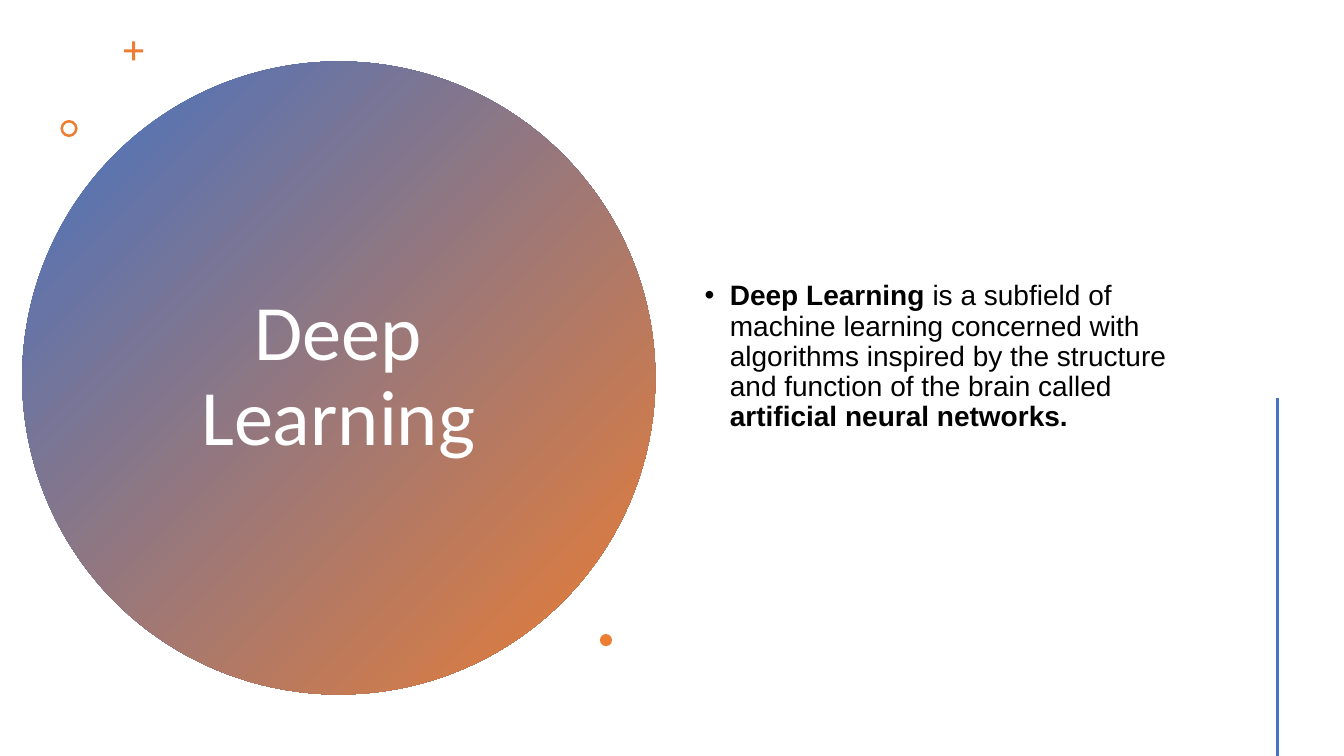
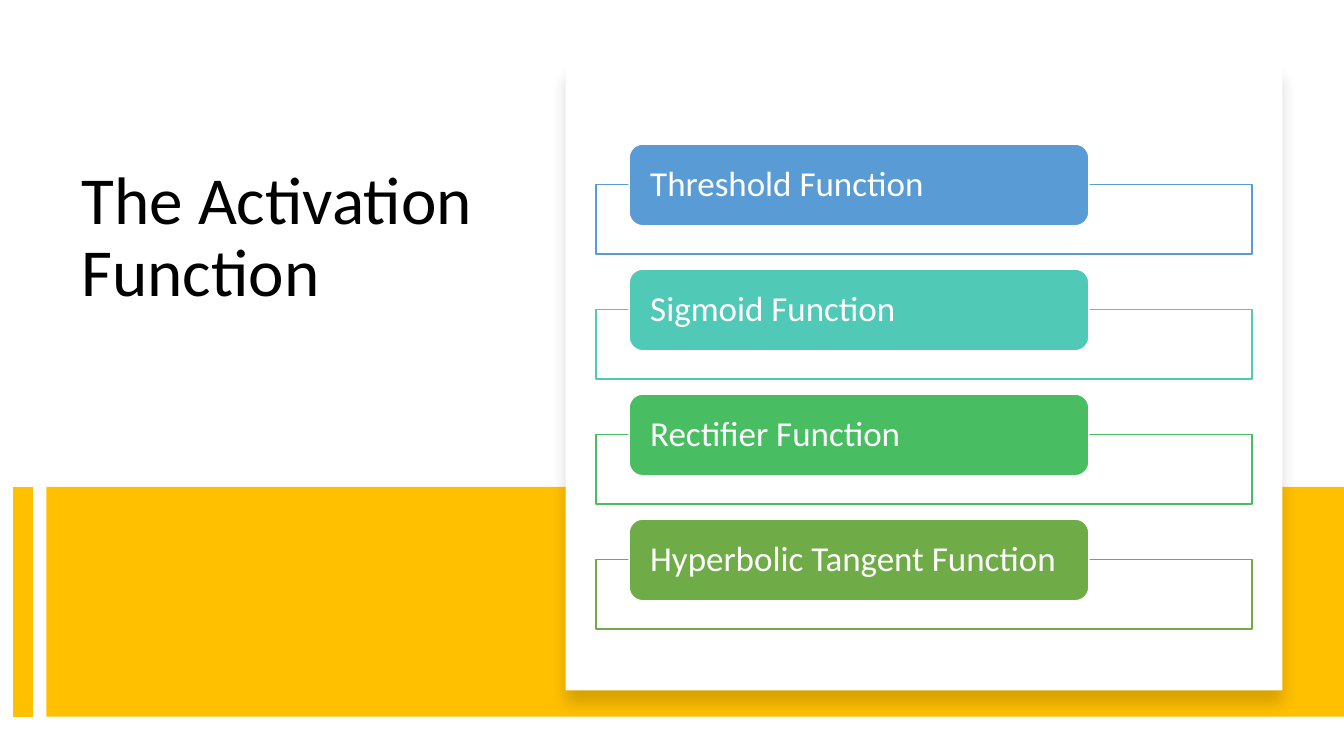
from dataclasses import dataclass

from lxml import etree
from pptx import Presentation
from pptx.dml.color import RGBColor
from pptx.enum.shapes import MSO_CONNECTOR, MSO_SHAPE
from pptx.enum.text import MSO_ANCHOR, PP_ALIGN
from pptx.oxml.ns import qn
from pptx.util import Inches, Pt

OVAL = MSO_SHAPE.OVAL
RECTANGLE = MSO_SHAPE.RECTANGLE
ROUNDED = MSO_SHAPE.ROUNDED_RECTANGLE
CROSS = MSO_SHAPE.CROSS
DONUT = MSO_SHAPE.DONUT
STRAIGHT = MSO_CONNECTOR.STRAIGHT
LEFT, CENTER = PP_ALIGN.LEFT, PP_ALIGN.CENTER
TOP, MIDDLE = MSO_ANCHOR.TOP, MSO_ANCHOR.MIDDLE


@dataclass(frozen=True)
class Theme:
    """Colours, fonts, type sizes and line spacing of the deck."""

    white: str = "FFFFFF"
    black: str = "000000"
    blue: str = "4472C4"
    orange: str = "ED7D31"
    gold: str = "FFC000"
    rows: tuple = ("599BD5", "50C9B6", "48BD62", "6FAB46")
    heading_font: str = "Calibri"
    body_font: str = "Arial"
    circle_title: int = 56
    title: int = 48
    label: int = 25
    body: int = 20
    spacing: float = 0.9


THEME = Theme()


def rgb(colour):
    """Turn a hex string into a colour."""
    return RGBColor.from_string(colour)


def add_shape(slide, preset, box, fill=None, line=None, adjust=None):
    """Add a preset shape without shadow, with optional fill, outline and adjustment."""
    shape = slide.shapes.add_shape(preset, *map(Inches, box))
    shape.shadow.inherit = False
    if fill:
        shape.fill.solid()
        shape.fill.fore_color.rgb = rgb(fill)
    if line:
        shape.line.color.rgb = rgb(line)
        shape.line.width = Pt(1)
    else:
        shape.line.fill.background()
    if adjust is not None:
        shape.adjustments[0] = adjust
    return shape


def add_line(slide, start, end, colour, width):
    """Add a straight line between two points."""
    line = slide.shapes.add_connector(STRAIGHT, *map(Inches, (*start, *end)))
    line.line.color.rgb = rgb(colour)
    line.line.width = Pt(width)
    etree.SubElement(line._element.spPr, qn("a:effectLst"))


def add_bullet(paragraph, indent):
    """Give a paragraph a round bullet with a hanging indent."""
    properties = paragraph._p.get_or_add_pPr()
    properties.set("marL", str(Inches(indent)))
    properties.set("indent", str(-Inches(indent)))
    etree.SubElement(properties, qn("a:buFont"), typeface="Arial")
    etree.SubElement(properties, qn("a:buChar"), char="•")


def write(frame, *runs, size, colour, font=THEME.heading_font, align=LEFT,
          anchor=TOP, insets=(0.1, 0.05), bullet=None):
    """Write one paragraph from (text, bold) runs into a text frame."""
    frame.word_wrap = True
    frame.vertical_anchor = anchor
    frame.margin_left = frame.margin_right = Inches(insets[0])
    frame.margin_top = frame.margin_bottom = Inches(insets[1])
    paragraph = frame.paragraphs[0]
    paragraph.alignment = align
    paragraph.line_spacing = THEME.spacing
    if bullet:
        add_bullet(paragraph, bullet)
    for text, bold in runs:
        run = paragraph.add_run()
        run.text = text
        run.font.name = font
        run.font.size = Pt(size)
        run.font.bold = bold
        run.font.color.rgb = rgb(colour)


def add_text(slide, box, *runs, **formats):
    """Add a text box holding one formatted paragraph."""
    write(slide.shapes.add_textbox(*map(Inches, box)).text_frame, *runs, **formats)


def add_drop_shadow(shape, colour, opacity, blur, distance):
    """Give a shape a soft shadow that falls straight down."""
    effects = shape._element.spPr.find(qn("a:effectLst"))
    shadow = etree.SubElement(effects, qn("a:outerShdw"), blurRad=str(Pt(blur)),
                              dist=str(Pt(distance)), dir="5400000",
                              algn="t", rotWithShape="0")
    tint = etree.SubElement(shadow, qn("a:srgbClr"), val=colour)
    etree.SubElement(tint, qn("a:alpha"), val=str(opacity * 1000))


def add_title_circle(slide, left, top, size, title):
    """Draw the gradient circle, its title and the ornaments around it."""
    circle = add_shape(slide, OVAL, (left, top, size, size))
    circle.fill.gradient()
    circle.fill.gradient_angle = 315
    for stop, position, colour in zip(circle.fill.gradient_stops, (0, 1),
                                      (THEME.blue, THEME.orange)):
        stop.position = position
        stop.color.rgb = rgb(colour)
    add_text(slide, (left + 1.14, top + 0.8, 3.99, 4.67), (title, False),
             size=THEME.circle_title, colour=THEME.white, align=CENTER, anchor=MIDDLE)
    ornaments = ((CROSS, 1.01, -0.2, 0.19, 0.42),
                 (DONUT, 0.38, 0.58, 0.17, 0.15),
                 (OVAL, 5.73, 5.68, 0.12, None))
    for preset, dx, dy, width, adjust in ornaments:
        add_shape(slide, preset, (left + dx, top + dy, width, width),
                  THEME.orange, adjust=adjust)


def add_gold_band(slide, left, top, width, height):
    """Draw the gold band with the stripe at its left."""
    stripe = left + 0.23
    add_shape(slide, RECTANGLE, (left + 0.46, top, width - 0.46, height), THEME.gold)
    add_line(slide, (stripe, top), (stripe, top + height), THEME.gold, 14)


def add_function_card(slide, left, top, width, height, names):
    """Draw the shadowed card with one labelled row for each function."""
    card = add_shape(slide, RECTANGLE, (left, top, width, height), THEME.white)
    add_drop_shadow(card, THEME.black, opacity=15, blur=11, distance=10)
    pitch, margin = 1.24, 0.3
    for index, (name, colour) in enumerate(zip(names, THEME.rows)):
        row_top = top + 0.79 + index * pitch
        add_shape(slide, RECTANGLE,
                  (left + margin, row_top + 0.4, width - 2 * margin, 0.69),
                  THEME.white, colour)
        label = add_shape(slide, ROUNDED, (left + 0.63, row_top, 4.56, 0.81),
                          colour, THEME.white, 0.167)
        write(label.text_frame, (name, False), size=THEME.label, colour=THEME.white,
              anchor=MIDDLE, insets=(0.17, 0))


def build_definition_slide(slide):
    """Build the slide that defines deep learning."""
    add_title_circle(slide, 0.22, 0.61, 6.28, "Deep Learning")
    add_text(slide, (6.89, 0.57, 5.22, 5.95),
             ("Deep Learning", True),
             (" is a subfield of machine learning concerned with algorithms inspired "
              "by the structure and function of the brain called ", False),
             ("artificial neural networks.", True),
             size=THEME.body, colour=THEME.black, font=THEME.body_font,
             anchor=MIDDLE, bullet=0.25)
    add_line(slide, (12.67, 3.95), (12.67, 7.5), THEME.blue, 2)


def build_functions_slide(slide):
    """Build the slide that lists the activation functions."""
    add_text(slide, (0.71, 1.6, 4.15, 2.94), ("The Activation Function", False),
             size=THEME.title, colour=THEME.black)
    add_gold_band(slide, 0, 4.83, 13.33, 2.28)
    add_function_card(slide, 5.61, 0.64, 7.11, 6.21,
                      ("Threshold Function", "Sigmoid Function",
                       "Rectifier Function", "Hyperbolic Tangent Function"))


def main():
    """Build and save the deck."""
    deck = Presentation()
    deck.slide_width, deck.slide_height = Inches(13.33), Inches(7.5)
    blank = deck.slide_layouts[6]
    for build in (build_definition_slide, build_functions_slide):
        build(deck.slides.add_slide(blank))
    deck.save("out.pptx")


if __name__ == "__main__":
    main()
